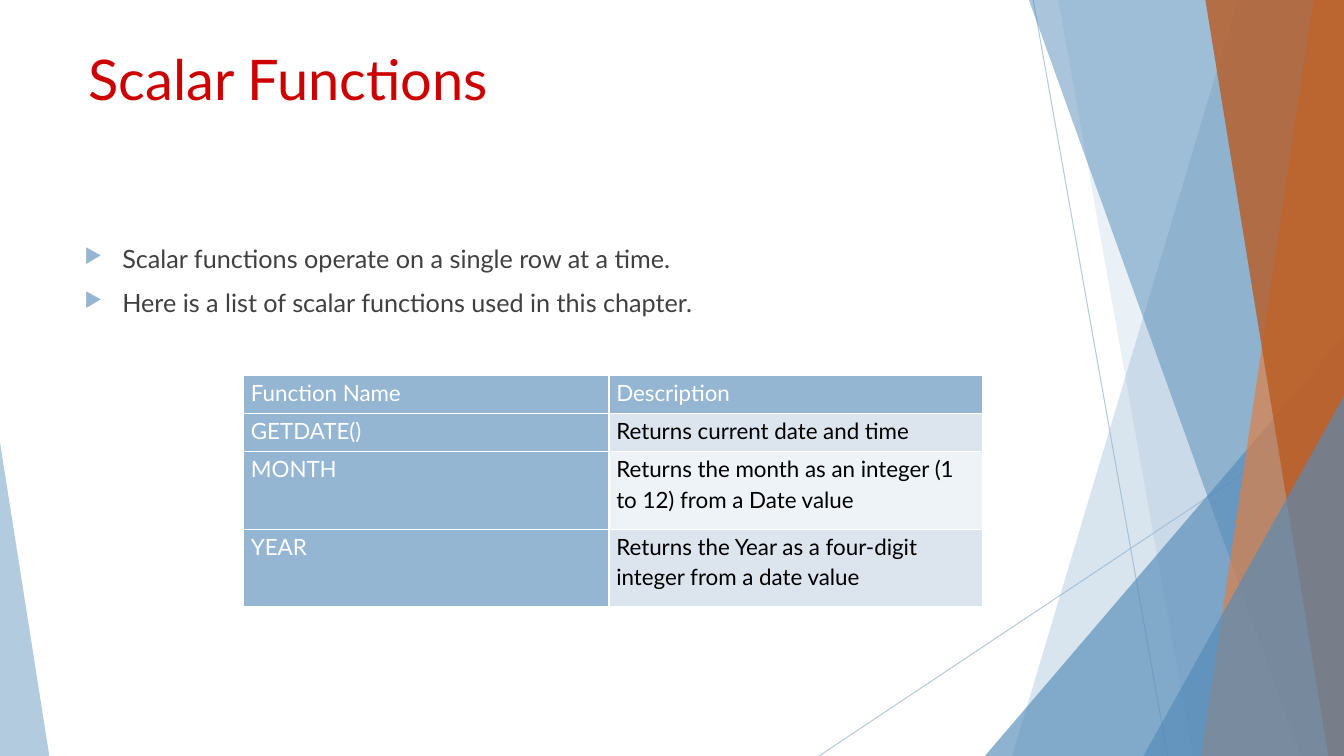
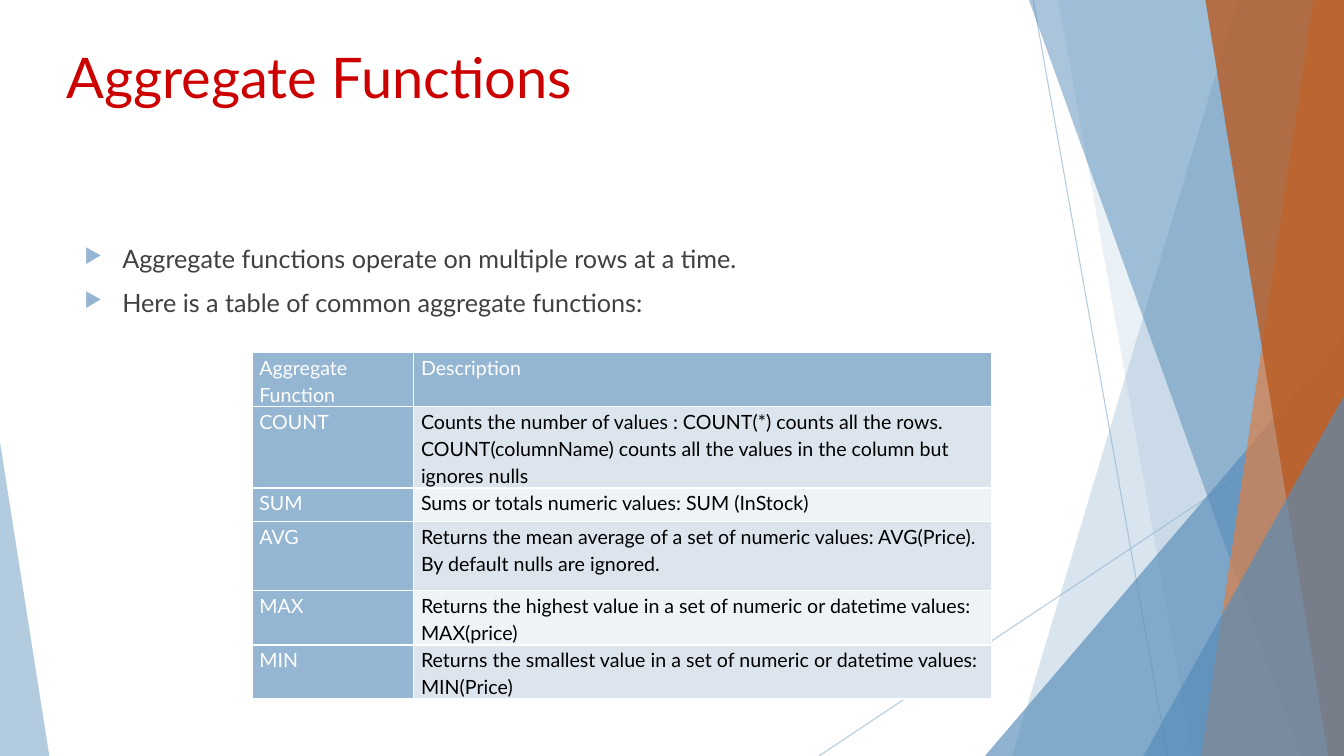
from lxml.etree import SubElement
from pptx import Presentation
from pptx.dml.color import RGBColor
from pptx.enum.shapes import MSO_CONNECTOR, MSO_SHAPE
from pptx.oxml.ns import qn
from pptx.util import Pt

PX = 9525
WIDTH, HEIGHT = 1280, 720
FONT = "Lato"
COLORS = {
    "sky": "94B6D2",
    "steel": "558BB8",
    "orange": "DD8047",
    "rust": "B95B22",
    "title": "CD0000",
    "body": "404040",
    "white": "FFFFFF",
    "black": "000000",
    "band_dark": "DCE5EE",
    "band_light": "EEF3F7",
}

RAYS = [(984, 0, 1112, 720), (1280, 387, 780, 720)]
FACETS = [
    ("pane", (1179, 964), "sky", 36),
    ("pane", (1008, 1136), "sky", 20),
    ("wedge", (938, 320, 342, 400, 1), "steel", 66),
    ("pane", (980, 1239), "steel", 50),
    ("pane", (1251, 1144), "orange", 70),
    ("pane", (1148, 1265), "rust", 80),
    ("wedge", (1089, 377, 191, 343, 1), "steel", 66),
    ("wedge", (0, 421, 47, 299, 0), "sky", 70),
]

TOPICS = [
    {
        "title": "Scalar Functions",
        "title_at": (75, 38),
        "points": [
            "Scalar functions operate on a single row at a time.",
            "Here is a list of scalar functions used in this chapter.",
        ],
        "table_at": (232, 358),
        "columns": [348, 356],
        "heights": [36, 36, 74, 74],
        "size": 16,
        "rows": [
            ("Function Name", "Description"),
            ("GETDATE()", "Returns current date and time"),
            ("MONTH", "Returns the month as an integer (1 to 12) from a Date value"),
            ("YEAR", "Returns the Year as a four-digit integer from a date value"),
        ],
    },
    {
        "title": "Aggregate Functions",
        "title_at": (54, 36),
        "points": [
            "Aggregate functions operate on multiple rows at a time.",
            "Here is a table of common aggregate functions:",
        ],
        "table_at": (240, 336),
        "columns": [154, 550],
        "heights": [51, 77, 32, 66, 51, 51],
        "size": 14,
        "rows": [
            ("Aggregate Function", "Description"),
            ("COUNT", "Counts the number of values : COUNT(*) counts all the rows. "
                      "COUNT(columnName) counts all the values in the column but ignores nulls"),
            ("SUM", "Sums or totals numeric values: SUM (InStock)"),
            ("AVG", "Returns the mean average of a set of numeric values: AVG(Price). "
                    "By default nulls are ignored."),
            ("MAX", "Returns the highest value in a set of numeric or datetime values: MAX(price)"),
            ("MIN", "Returns the smallest value in a set of numeric or datetime values: MIN(Price)"),
        ],
    },
]


def write(frame, lines, size, color, bullet=False, spacing=None):
    frame.word_wrap = True
    for index, line in enumerate(lines):
        paragraph = frame.add_paragraph() if index else frame.paragraphs[0]
        paragraph.line_spacing = spacing
        if bullet:
            paragraph.space_before = Pt(10)
            props = paragraph._p.get_or_add_pPr()
            props.set("marL", str(36 * PX))
            props.set("indent", str(-36 * PX))
            tint = SubElement(props, qn("a:buClr"))
            SubElement(tint, qn("a:srgbClr"), val=COLORS["sky"])
            SubElement(props, qn("a:buSzPct"), val="80000")
            SubElement(props, qn("a:buChar"), char="▶")
        run = paragraph.add_run()
        run.text = line
        run.font.name = FONT
        run.font.size = Pt(size)
        run.font.bold = False
        run.font.color.rgb = RGBColor.from_string(COLORS[color])


def tint_glass(fill, shape, color, opacity):
    fill.solid()
    fill.fore_color.rgb = RGBColor.from_string(COLORS[color])
    solid = shape.element.spPr.find(".//" + qn("a:srgbClr"))
    SubElement(solid, qn("a:alpha"), val=str(opacity * 1000))


deck = Presentation()
deck.slide_width = WIDTH * PX
deck.slide_height = HEIGHT * PX

for topic in TOPICS:
    slide = deck.slides.add_slide(deck.slide_layouts[6])
    shapes = slide.shapes

    for ends in RAYS:
        ray = shapes.add_connector(MSO_CONNECTOR.STRAIGHT, *(end * PX for end in ends))
        ray.line.width = Pt(0.75)
        tint_glass(ray.line.fill, ray, "sky", 70)
        SubElement(ray.element.spPr, qn("a:effectLst"))

    for kind, place, color, opacity in FACETS:
        if kind == "pane":
            top_x, bottom_x = place
            outline = shapes.build_freeform(top_x, 0, scale=PX)
            outline.add_line_segments([(WIDTH, 0), (WIDTH, HEIGHT), (bottom_x, HEIGHT)])
            facet = outline.convert_to_shape()
        else:
            *box, apex = place
            facet = shapes.add_shape(MSO_SHAPE.ISOSCELES_TRIANGLE, *(side * PX for side in box))
            facet.adjustments[0] = apex
        tint_glass(facet.fill, facet, color, opacity)
        facet.line.fill.background()
        facet.shadow.inherit = False

    left, top = topic["title_at"]
    heading = shapes.add_textbox(left * PX, top * PX, 1104 * PX, 139 * PX)
    write(heading.text_frame, [topic["title"]], size=40, color="title")

    points = shapes.add_textbox(71 * PX, 227 * PX, 902 * PX, 407 * PX)
    write(points.text_frame, topic["points"], size=18, color="body", bullet=True)

    left, top = topic["table_at"]
    columns, heights, rows = topic["columns"], topic["heights"], topic["rows"]
    functions = shapes.add_table(
        len(rows), len(columns), left * PX, top * PX, sum(columns) * PX, sum(heights) * PX
    ).table
    functions.first_row = False
    functions.horz_banding = False
    for column, width in zip(functions.columns, columns):
        column.width = width * PX
    for r, (entries, height) in enumerate(zip(rows, heights)):
        functions.rows[r].height = height * PX
        for c, entry in enumerate(entries):
            cell = functions.cell(r, c)
            cell.margin_left = cell.margin_right = 7 * PX
            cell.margin_top = cell.margin_bottom = 0
            is_label = r == 0 or c == 0
            write(cell.text_frame, [entry], size=topic["size"],
                  color="white" if is_label else "black", spacing=1.15)
            borders = cell._tc.get_or_add_tcPr()
            for side in ("lnL", "lnR", "lnT", "lnB"):
                edge = SubElement(borders, qn("a:" + side), w=str(Pt(1)))
                paint = SubElement(edge, qn("a:solidFill"))
                SubElement(paint, qn("a:srgbClr"), val=COLORS["white"])
            band = "sky" if is_label else "band_dark" if r % 2 else "band_light"
            cell.fill.solid()
            cell.fill.fore_color.rgb = RGBColor.from_string(COLORS[band])

deck.save("out.pptx")
